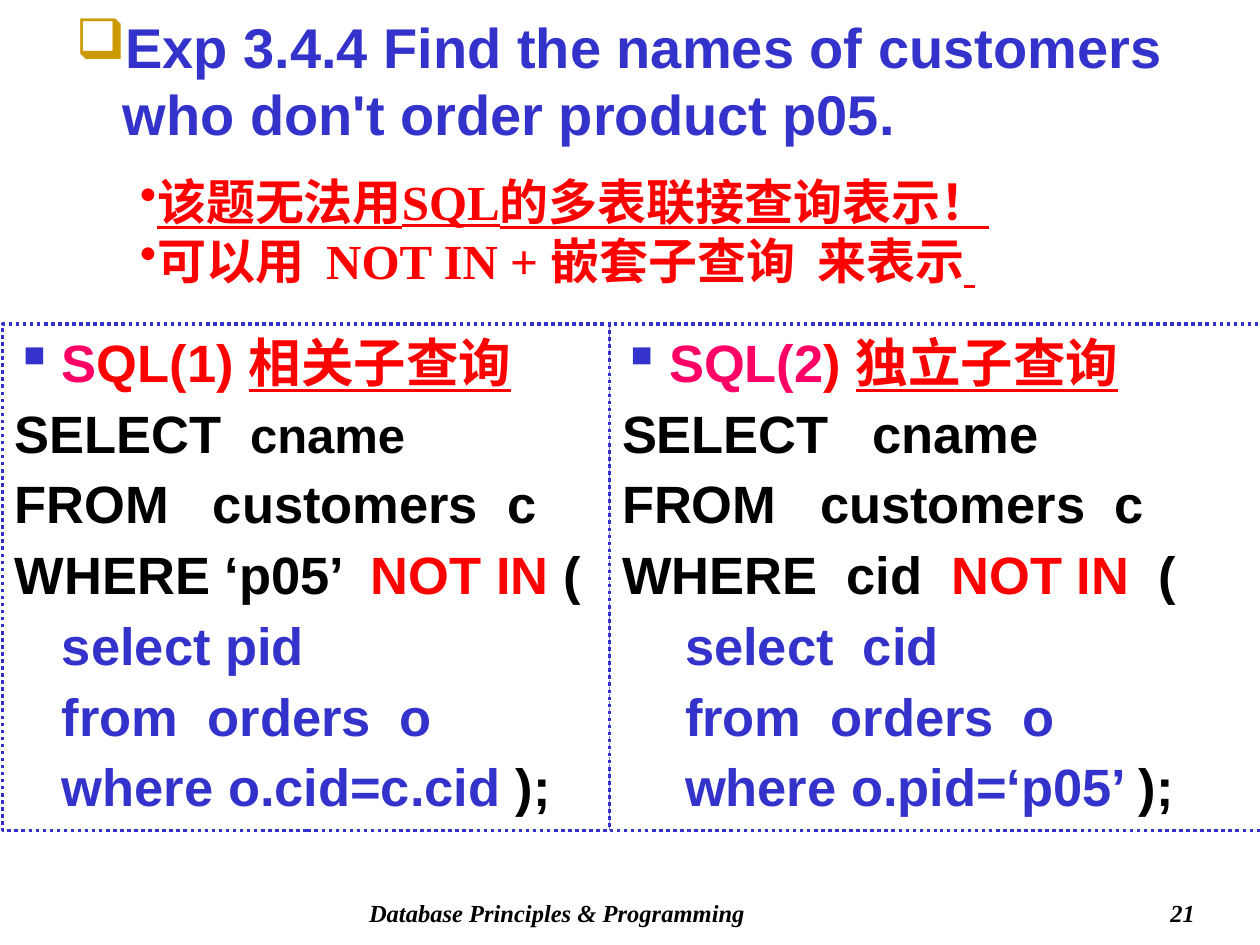
import pptx
import pptx.dml.color
import pptx.enum.dml
import pptx.enum.shapes
import pptx.enum.text
import pptx.oxml
import pptx.oxml.ns
import pptx.util
from pptx.util import Cm

COLORS = {
    "blue": "3333CC",
    "red": "FF0000",
    "pink": "FF0066",
    "gold": "CC9900",
    "black": "000000",
    "white": "FFFFFF",
}
SANS = "Arial"
SERIF = "Times New Roman"


def rgb(name):
    return pptx.dml.color.RGBColor.from_string(COLORS[name])


def add_run(p, text, size=30, font=SANS, color="black", underline=False, italic=False):
    r = p.add_run()
    r.text = text
    f = r.font
    f.name = font
    f.size = pptx.util.Pt(size)
    f.bold = True
    f.italic = italic
    f.underline = underline
    f.color.rgb = rgb(color)
    return r


class SlideBuilder:
    code_space = pptx.util.Pt(4.4)
    hang = 0.95

    def __init__(self, prs):
        self.slide = prs.slides.add_slide(prs.slide_layouts[5])

    def prepare(self, tf):
        tf.word_wrap = True
        tf.auto_size = pptx.enum.text.MSO_AUTO_SIZE.NONE
        tf.vertical_anchor = pptx.enum.text.MSO_ANCHOR.TOP
        return tf

    def paragraph(self, tf, runs, margin=0, indent=0, bullet=None, bullet_color="blue",
                  space=0, align=pptx.enum.text.PP_ALIGN.LEFT):
        p = tf.paragraphs[0]
        if p.runs:
            p = tf.add_paragraph()
        p.alignment = align
        p.space_before = space
        pPr = p._p.get_or_add_pPr()
        pPr.set("marL", str(Cm(margin)))
        pPr.set("indent", str(Cm(indent)))
        if bullet:
            ns = pptx.oxml.ns.nsdecls("a")
            pPr.append(pptx.oxml.parse_xml(
                f'<a:buClr {ns}><a:srgbClr val="{COLORS[bullet_color]}"/></a:buClr>'))
            pPr.append(pptx.oxml.parse_xml(f'<a:buChar {ns} char="{bullet}"/>'))
        for text, style in runs:
            add_run(p, text, **style)
        return p

    def title(self, text, left, top, width, height):
        sp = self.slide.shapes.title
        sp.left, sp.top, sp.width, sp.height = Cm(left), Cm(top), Cm(width), Cm(height)
        tf = self.prepare(sp.text_frame)
        self.paragraph(tf, [(text, dict(size=32, color="blue"))], self.hang, -self.hang,
                       "❑", "gold", pptx.util.Pt(3))

    def text_box(self, left, top, width, height):
        sp = self.slide.shapes.add_textbox(Cm(left), Cm(top), Cm(width), Cm(height))
        return self.prepare(sp.text_frame)

    def notes(self, lines, *box):
        tf = self.text_box(*box)
        for runs in lines:
            self.paragraph(tf, runs, 0, 1.27, "•", "red")

    def footer(self, text, align, *box):
        style = dict(size=14, font=SERIF, italic=True)
        self.paragraph(self.text_box(*box), [(text, style)], align=align)

    def query_box(self, heading, outer, inner, inner_margin, left, width):
        sp = self.slide.shapes.add_shape(
            pptx.enum.shapes.MSO_SHAPE.RECTANGLE, Cm(left), Cm(6.53), Cm(width), Cm(10.21))
        sp.shadow.inherit = False
        sp.fill.solid()
        sp.fill.fore_color.rgb = rgb("white")
        sp.line.color.rgb = rgb("blue")
        sp.line.width = pptx.util.Pt(2)
        sp.line.dash_style = pptx.enum.dml.MSO_LINE.ROUND_DOT
        tf = self.prepare(sp.text_frame)
        self.paragraph(tf, heading, self.hang, -self.hang, "▪", space=self.code_space)
        for runs in outer:
            self.paragraph(tf, runs, self.hang, -self.hang, space=self.code_space)
        for runs in inner:
            self.paragraph(tf, runs, inner_margin, space=self.code_space)


def main():
    prs = pptx.Presentation()
    prs.slide_width, prs.slide_height = Cm(25.4), Cm(19.05)
    s = SlideBuilder(prs)

    black, red, pink, blue = (dict(color=c) for c in ("black", "red", "pink", "blue"))
    topic = dict(color="red", underline=True)
    note = dict(size=28, font=SERIF, color="red")
    underlined = dict(note, underline=True)

    s.title("Exp 3.4.4 Find the names of customers who don't order product p05.",
            1.27, 0.13, 22.86, 3)
    s.notes([
        [("该题无法用SQL的多表联接查询表示！", underlined)],
        [("可以用  NOT IN + 嵌套子查询  来表示", note), (" ", underlined)],
    ], 1.3, 3.33, 22.81, 2.62)

    s.query_box(
        [("S", pink), ("QL(1) ", red), ("相关子查询", topic)],
        [
            [("SELECT ", black), (" cname", dict(size=28))],
            [("FROM   customers  c", black)],
            [("WHERE ‘p05’  ", black), ("NOT IN", red), (" (", black)],
        ],
        [
            [("select pid", blue)],
            [("from  orders  o", blue)],
            [("where o.cid=c.cid ", blue), (");", black)],
        ],
        s.hang, 0.05, 12.27)
    s.query_box(
        [("SQL(2", pink), (") ", red), ("独立子查询", topic)],
        [
            [("SELECT   cname", black)],
            [("FROM   customers  c", black)],
            [("WHERE  cid  ", black), ("NOT IN", red), ("  (", black)],
        ],
        [
            [("select  cid", blue)],
            [("from  orders  o", blue)],
            [("where o.pid=‘p05’ ", blue), (");", black)],
        ],
        1.27, 12.29, 13.21)

    s.footer("Database Principles & Programming", pptx.enum.text.PP_ALIGN.LEFT,
             7.19, 17.98, 11, 0.84)
    s.footer("21", pptx.enum.text.PP_ALIGN.RIGHT, 19.05, 17.98, 5.29, 0.84)
    prs.save("out.pptx")


if __name__ == "__main__":
    main()
